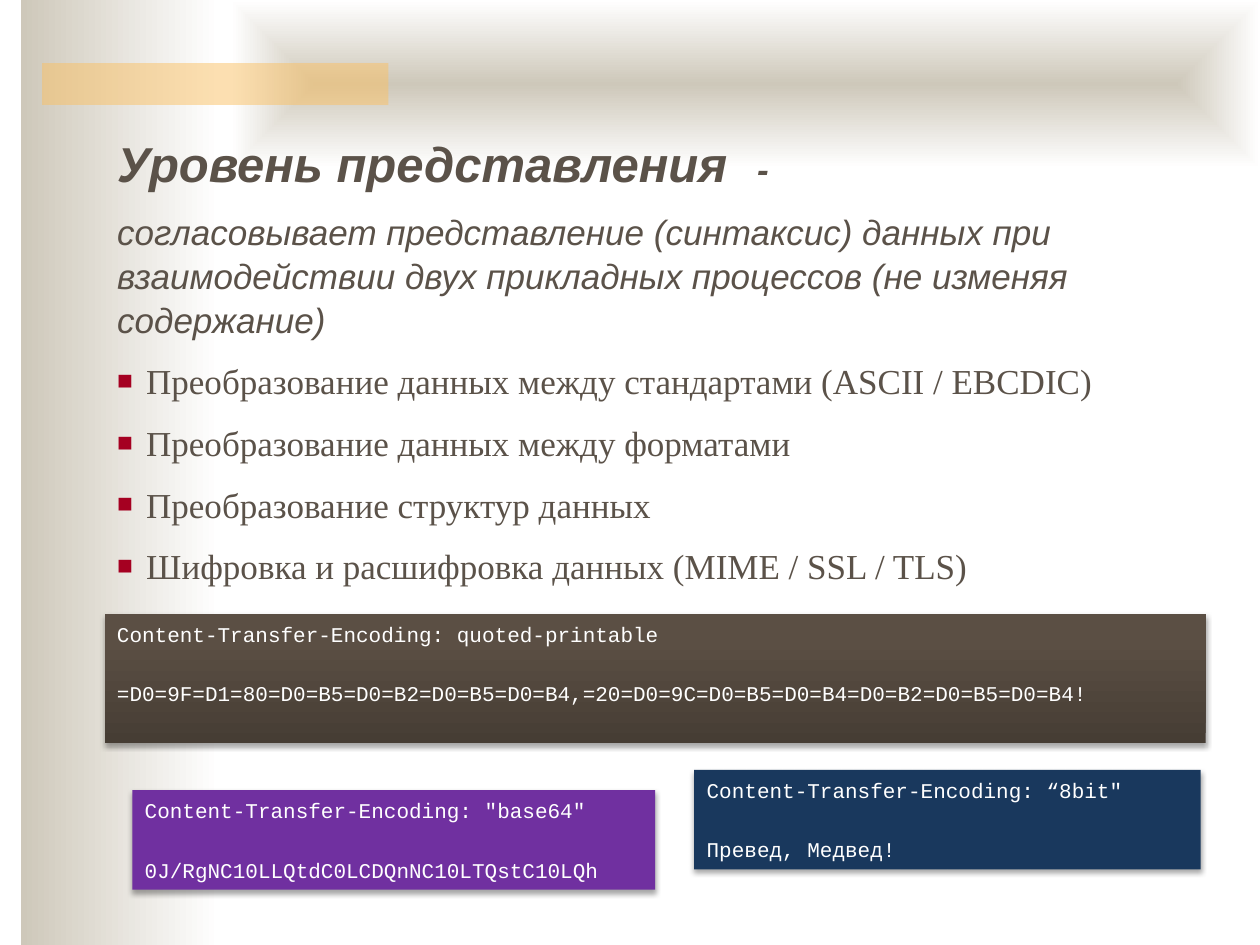
"""Build a slide on the presentation layer with three encoding examples."""
from dataclasses import dataclass

import pptx
import pptx.dml.color
import pptx.enum.shapes
import pptx.enum.text
import pptx.oxml
import pptx.oxml.ns
import pptx.util
from lxml import etree

WIDTH, HEIGHT = 10, 7.5


@dataclass(frozen=True)
class Theme:
    """Hold the colours, fonts and type sizes of the slide."""
    ink: str = "5B5249"
    sand: str = "CEC8BA"
    white: str = "FFFFFF"
    accent: str = "FAC164"
    bullet: str = "A50021"
    violet: str = "7030A0"
    navy: str = "19385D"
    brown: tuple = ((0, "463D34"), (80, "5B4F44"), (100, "5C5044"))
    sans: str = "Arial"
    serif: str = "Times New Roman"
    mono: str = "Courier New"
    title: int = 28
    body: int = 20
    code: int = 12
    leading: float = 1.05


THEME = Theme()
FADE = ((0, THEME.sand), (100, THEME.white))
LINEAR = '<a:lin ang="{}" scaled="0"/>'
CENTRED = ('<a:path path="shape"><a:fillToRect l="50000" t="50000" '
           'r="50000" b="50000"/></a:path>')
ITEMS = (
    "Преобразование данных между стандартами (ASCII / EBCDIC)",
    "Преобразование данных между форматами",
    "Преобразование структур данных",
    "Шифровка и расшифровка данных (MIME / SSL / TLS)",
)
EXAMPLES = (
    ((0.83, 4.87, 8.74, 1.03), THEME.brown,
     ("Content-Transfer-Encoding: quoted-printable",
      "=D0=9F=D1=80=D0=B5=D0=B2=D0=B5=D0=B4,=20=D0=9C=D0=B5=D0=B4=D0=B2=D0=B5=D0=B4!")),
    ((1.05, 6.27, 4.15, 0.79), THEME.violet,
     ('Content-Transfer-Encoding: "base64"', "0J/RgNC10LLQtdC0LCDQnNC10LTQstC10LQh")),
    ((5.51, 6.11, 4.02, 0.79), THEME.navy,
     ('Content-Transfer-Encoding: “8bit"', "Превед, Медвед!")),
)


def xml(text):
    """Parse one drawing element whose prefix is a."""
    head, tail = text.split(">", 1) if not text.split(">", 1)[0].endswith("/") else (text[:-2], None)
    declared = f"{head} {pptx.oxml.ns.nsdecls('a')}"
    return pptx.oxml.parse_xml(declared + ("/>" if tail is None else ">" + tail))


def paint_gradient(shape, stops, direction):
    """Fill a shape with gradient stops in a linear or centred direction."""
    shape.fill.background()
    marks = "".join(f'<a:gs pos="{place * 1000}"><a:srgbClr val="{color}"/></a:gs>'
                    for place, color in stops)
    empty = shape.element.spPr.find(pptx.oxml.ns.qn("a:noFill"))
    empty.getparent().replace(
        empty, xml(f'<a:gradFill rotWithShape="1"><a:gsLst>{marks}</a:gsLst>{direction}</a:gradFill>'))


def add_panel(page, box, paint, direction=None):
    """Add a borderless rectangle with a solid or gradient fill."""
    shape = page.shapes.add_shape(pptx.enum.shapes.MSO_SHAPE.RECTANGLE,
                                  *map(pptx.util.Inches, box))
    shape.shadow.inherit = False
    if direction:
        paint_gradient(shape, paint, direction)
    else:
        shape.fill.solid()
        shape.fill.fore_color.rgb = pptx.dml.color.RGBColor.from_string(paint)
    shape.line.fill.background()
    return shape


def add_span(para, text, font, size, color, bold=False, italic=False):
    """Add one formatted run to a paragraph."""
    span = para.add_run()
    span.text = text
    span.font.name, span.font.size = font, pptx.util.Pt(size)
    span.font.bold, span.font.italic = bold, italic
    span.font.color.rgb = pptx.dml.color.RGBColor.from_string(color)


def prepare_frame(frame):
    """Set a text frame to wrap from the top with fixed size."""
    frame.word_wrap = True
    frame.auto_size = pptx.enum.text.MSO_AUTO_SIZE.NONE
    frame.vertical_anchor = pptx.enum.text.MSO_ANCHOR.TOP


def next_para(frame, index, gap, align=pptx.enum.text.PP_ALIGN.LEFT):
    """Return the paragraph at an index, with the gap above all but the first."""
    para = frame.add_paragraph() if index else frame.paragraphs[0]
    para.alignment = align
    para.line_spacing = THEME.leading
    para.space_before = pptx.util.Pt(gap if index else 0)
    para.space_after = pptx.util.Pt(0)
    return para


def set_bullet(para, shown):
    """Give a paragraph a square bullet with a hanging indent, or none."""
    indent = pptx.util.Inches(0.23) if shown else 0
    props = para._p.get_or_add_pPr()
    props.set("marL", str(indent))
    props.set("indent", str(-indent))
    parts = (f'<a:buClr><a:srgbClr val="{THEME.bullet}"/></a:buClr>',
             '<a:buSzPct val="75000"/>', f'<a:buFont typeface="{THEME.sans}"/>',
             '<a:buChar char="■"/>') if shown else ("<a:buNone/>",)
    for part in parts:
        props.append(xml(part))


def move_placeholder(holder, box):
    """Place a placeholder in front of the backdrop."""
    holder.left, holder.top, holder.width, holder.height = map(pptx.util.Inches, box)
    tree = holder.element.getparent()
    tree.append(holder.element)
    prepare_frame(holder.text_frame)
    return holder.text_frame


def draw_backdrop(page):
    """Draw the side fade, the top fade and the accent bar."""
    left, top = WIDTH / 60, HEIGHT / 15
    add_panel(page, (left, 0, 1.58, HEIGHT), FADE, LINEAR.format(0))
    add_panel(page, (11 * left, 0, WIDTH - 11 * left, 8 * left), FADE, CENTRED)
    bar = add_panel(page, (2 * left, top, 2.75, 2 * left), THEME.accent)
    color = bar.element.spPr.find(".//" + pptx.oxml.ns.qn("a:srgbClr"))
    etree.SubElement(color, pptx.oxml.ns.qn("a:alpha")).set("val", "50000")


def write_title(holder, box):
    """Write the heading and its dash at a tab stop."""
    para = next_para(move_placeholder(holder, box), 0, 0)
    stop = pptx.util.Inches(5.08)
    para._p.get_or_add_pPr().append(
        xml(f'<a:tabLst><a:tab pos="{stop}" algn="l"/></a:tabLst>'))
    for text, size in (("Уровень представления", THEME.title), ("\t-", THEME.body)):
        add_span(para, text, THEME.sans, size, THEME.ink, bold=True, italic=True)


def write_body(holder, box):
    """Write the definition and the bulleted functions."""
    frame = move_placeholder(holder, box)
    para = next_para(frame, 0, 0)
    set_bullet(para, False)
    add_span(para, "согласовывает представление (синтаксис) данных при взаимодействии "
             "двух прикладных процессов (не изменяя содержание)",
             THEME.sans, THEME.body, THEME.ink, italic=True)
    for index, item in enumerate(ITEMS, 1):
        para = next_para(frame, index, THEME.body / 2, pptx.enum.text.PP_ALIGN.JUSTIFY)
        set_bullet(para, True)
        add_span(para, item, THEME.serif, THEME.body, THEME.ink)


def draw_example(page, box, paint, lines):
    """Draw a shadowed panel with an encoding header and its payload."""
    direction = None if isinstance(paint, str) else LINEAR.format(16200000)
    panel = add_panel(page, box, paint, direction)
    panel.element.spPr.find(pptx.oxml.ns.qn("a:effectLst")).append(xml(
        f'<a:outerShdw blurRad="{pptx.util.Pt(3.1)}" dist="{pptx.util.Pt(1.8)}" '
        'dir="5400000" rotWithShape="0"><a:srgbClr val="000000">'
        '<a:alpha val="35000"/></a:srgbClr></a:outerShdw>'))
    prepare_frame(panel.text_frame)
    for index, line in enumerate(lines):
        para = next_para(panel.text_frame, index, 19)
        add_span(para, line, THEME.mono, THEME.code, THEME.white)


def main():
    """Assemble and save the deck."""
    deck = pptx.Presentation()
    deck.slide_width, deck.slide_height = pptx.util.Inches(WIDTH), pptx.util.Inches(HEIGHT)
    page = deck.slides.add_slide(deck.slide_layouts[1])
    draw_backdrop(page)
    write_title(page.shapes.title, (0.83, 0.99, 8.35, 0.6))
    write_body(page.placeholders[1], (0.83, 1.6, 8.35, 3.2))
    for box, paint, lines in EXAMPLES:
        draw_example(page, box, paint, lines)
    deck.save("out.pptx")


if __name__ == "__main__":
    main()
